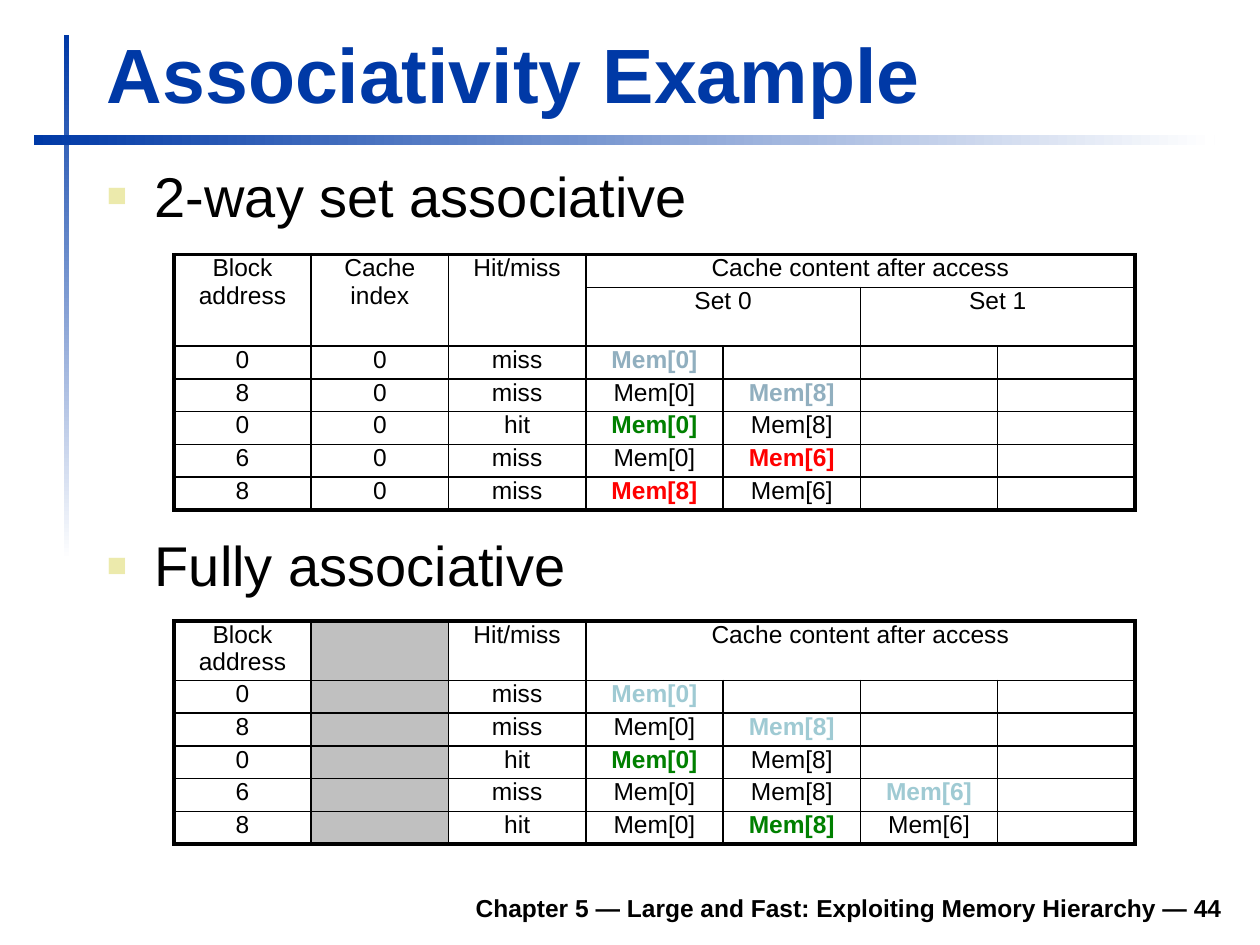
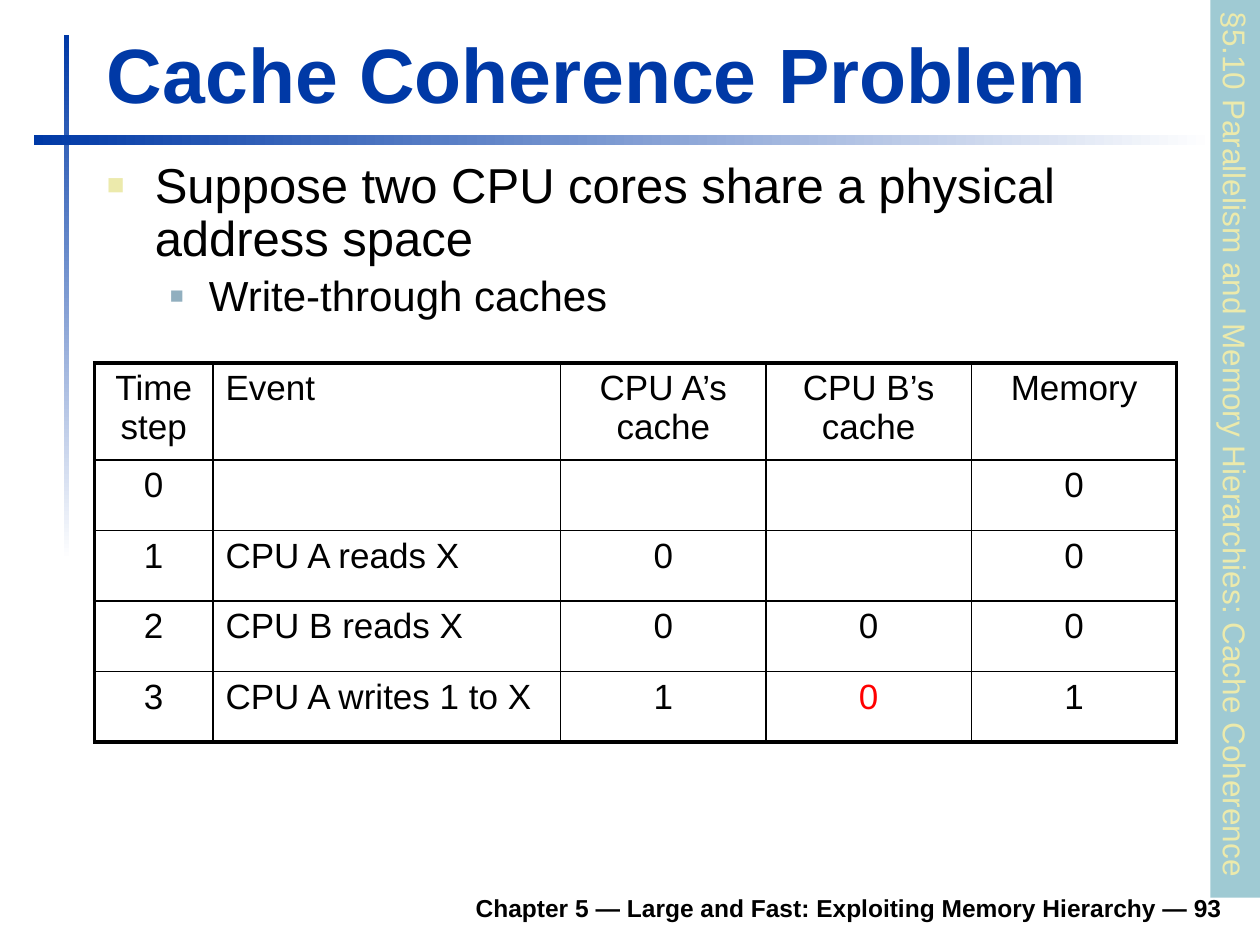
from lxml import etree
from pptx import Presentation, util as u
from pptx.dml.color import RGBColor
from pptx.enum import shapes, text
from pptx.oxml.ns import qn

COLS, ROWS = 1000, 750
FONT = "Arial"
BLACK, WHITE, BLUE = "000000", "FFFFFF", "0039A6"
CREAM, STEEL, TEAL = "ECEAAC", "91AFBF", "9FCAD3"
GREEN, RED, GRAY = "008000", "FF0000", "C0C0C0"
THIN, THICK = 1, 2.25
FOOT = "Chapter 5 — Large and Fast: Exploiting Memory Hierarchy — "
BULLETS = [(38, 38, CREAM, 60), (81, 31, STEEL, 55)]
BARS = [((51, 28, 4, 417), 270), ((27, 107, 937, 8), 0)]

CONTENT = "Cache content after access"
TWO_WAY = dict(
    box=(138, 202), size=14, pad=0, bold=True,
    cols=[109] * 7, rows=[26, 44] + [26] * 5,
    spans=[(0, 0, 2, 1), (0, 1, 2, 1), (0, 2, 2, 1),
           (0, 3, 1, 4), (1, 3, 1, 2), (1, 5, 1, 2)],
    cells=[
        ["Block address", "Cache index", "Hit/miss", CONTENT],
        ["", "", "", "Set 0", "", "Set 1"],
        ["0", "0", "miss", ("Mem[0]", STEEL)],
        ["8", "0", "miss", "Mem[0]", ("Mem[8]", STEEL)],
        ["0", "0", "hit", ("Mem[0]", GREEN), "Mem[8]"],
        ["6", "0", "miss", "Mem[0]", ("Mem[6]", RED)],
        ["8", "0", "miss", ("Mem[8]", RED), "Mem[6]"],
    ])
FULL = dict(
    box=(138, 493), size=14, pad=0, bold=True, gray=1,
    cols=[109] * 7, rows=[47] + [26] * 5,
    spans=[(0, 3, 1, 4)],
    cells=[
        ["Block address", "", "Hit/miss", CONTENT],
        ["0", "", "miss", ("Mem[0]", TEAL)],
        ["8", "", "miss", "Mem[0]", ("Mem[8]", TEAL)],
        ["0", "", "hit", ("Mem[0]", GREEN), "Mem[8]"],
        ["6", "", "miss", "Mem[0]", "Mem[8]", ("Mem[6]", TEAL)],
        ["8", "", "hit", "Mem[0]", ("Mem[8]", GREEN), "Mem[6]"],
    ])
EVENTS = dict(
    box=(75, 288), size=20, pad=5, left=1,
    cols=[94, 276] + [163] * 3, rows=[77] + [56] * 4,
    cells=[
        ["Time step", "Event", "CPU A’s cache", "CPU B’s cache", "Memory"],
        ["0", "", "", "", "0"],
        ["1", "CPU A reads X", "0", "", "0"],
        ["2", "CPU B reads X", "0", "0", "0"],
        ["3", "CPU A writes 1 to X", "1", ("0", RED), "1"],
    ])

SLIDES = [
    dict(title="Associativity Example", page=44, tables=[TWO_WAY, FULL],
         lists=[((75, 123, 905, 79), 1, [("2-way set associative", 32, 0)]),
                ((75, 422, 850, 63), 0.9, [("Fully associative", 32, 0)])]),
    dict(title="Cache Coherence Problem", page=93, tables=[EVENTS],
         lists=[((75, 123, 905, 149), 0.9,
                 [("Suppose two CPU cores share a physical address space", 28, 0),
                  ("Write-through caches", 24, 1)])],
         side="§5.10 Parallelism and Memory Hierarchies: Cache Coherence"),
]

deck = Presentation()
deck.slide_width, deck.slide_height = u.Inches(10), u.Inches(7.5)


def across(n):
    return round(deck.slide_width * n / COLS)


def down(n):
    return round(deck.slide_height * n / ROWS)


def place(x, y, w, h):
    return across(x), down(y), across(w), down(h)


def color(code):
    return RGBColor.from_string(code)


def sub(node, tag, **attrs):
    return etree.SubElement(node, qn("a:" + tag), {k: str(v) for k, v in attrs.items()})


def style(para, size, code=BLACK, bold=False):
    for run in para.runs:
        font = run.font
        font.name, font.size, font.bold = FONT, u.Pt(size), bold
        font.color.rgb = color(code)


def block(slide, box, anchor=text.MSO_ANCHOR.TOP):
    frame = slide.shapes.add_textbox(*place(*box)).text_frame
    frame.word_wrap = True
    frame.vertical_anchor = anchor
    return frame


def label(slide, box, words, size, code, align):
    frame = block(slide, box, text.MSO_ANCHOR.BOTTOM)
    frame.text = words
    frame.paragraphs[0].alignment = align
    style(frame.paragraphs[0], size, code, True)


def panel(slide, box):
    shape = slide.shapes.add_shape(shapes.MSO_SHAPE.RECTANGLE, *place(*box))
    shape.shadow.inherit = False
    shape.line.fill.background()
    return shape


def bar(slide, box, angle):
    fill = panel(slide, box).fill
    fill.gradient()
    fill.gradient_angle = angle
    for stop, code, at in zip(fill.gradient_stops, (BLUE, WHITE), (0, 1)):
        stop.color.rgb, stop.position = color(code), at


def bullets(slide, box, pitch, items):
    frame = block(slide, box)
    for i, (words, size, level) in enumerate(items):
        para = frame.add_paragraph() if i else frame.paragraphs[0]
        para.text, para.level, para.line_spacing = words, level, pitch
        para.space_before = u.Pt(size * 0.2 if i else 0)
        style(para, size)
        margin, hang, code, share = BULLETS[level]
        props = para._p.get_or_add_pPr()
        props.set("marL", str(across(margin)))
        props.set("indent", str(-across(hang)))
        sub(sub(props, "buClr"), "srgbClr", val=code)
        sub(props, "buSzPct", val=share * 1000)
        sub(props, "buFont", typeface=FONT)
        sub(props, "buChar", char="■")


def edges(cell, sides):
    props = cell._tc.get_or_add_tcPr()
    for side, outer in zip("LRTB", sides):
        line = sub(props, "ln" + side, w=u.Pt(THICK if outer else THIN))
        sub(sub(line, "solidFill"), "srgbClr", val=BLACK)


def grid(slide, box, size, pad, cols, rows, cells, spans=(), bold=False, gray=None, left=None):
    area = place(*box, sum(cols), sum(rows))
    table = slide.shapes.add_table(len(rows), len(cols), *area).table
    table.first_row = table.horz_banding = False
    for col, wide in zip(table.columns, cols):
        col.width = across(wide)
    for row, high in zip(table.rows, rows):
        row.height = down(high)
    for r, c, tall, wide in spans:
        table.cell(r, c).merge(table.cell(r + tall - 1, c + wide - 1))
    for r, line in enumerate(cells):
        for c in range(len(cols)):
            cell = table.cell(r, c)
            item = line[c] if c < len(line) else ""
            words, code = item if isinstance(item, tuple) else (item, BLACK)
            cell.margin_top = cell.margin_bottom = down(pad)
            cell.margin_left = cell.margin_right = across(10)
            para = cell.text_frame.paragraphs[0]
            if words:
                para.text = words
            para.alignment = text.PP_ALIGN.LEFT if c == left else text.PP_ALIGN.CENTER
            style(para, size, code, bold and code != BLACK)
            sub(para._p, "endParaRPr", sz=size * 100)
            tall = cell.span_height if cell.is_merge_origin else 1
            wide = cell.span_width if cell.is_merge_origin else 1
            edges(cell, (c == 0, c + wide == len(cols), r == 0, r + tall == len(rows)))
            if c == gray:
                cell.fill.solid()
                cell.fill.fore_color.rgb = color(GRAY)
            else:
                cell.fill.background()


def ribbon(slide, words):
    shape = panel(slide, (624, 336, 713, 40))
    shape.rotation = 90
    shape.fill.solid()
    shape.fill.fore_color.rgb = color(TEAL)
    frame = shape.text_frame
    frame.word_wrap = False
    frame.vertical_anchor = text.MSO_ANCHOR.TOP
    frame.text = words
    frame.paragraphs[0].alignment = text.PP_ALIGN.LEFT
    style(frame.paragraphs[0], 18, CREAM)


def build(page):
    slide = deck.slides.add_slide(deck.slide_layouts[6])
    for box, angle in BARS:
        bar(slide, box, angle)
    if "side" in page:
        ribbon(slide, page["side"])
    label(slide, (185, 698, 795, 39), FOOT + str(page["page"]), 14, BLACK, text.PP_ALIGN.RIGHT)
    label(slide, (75, 16, 903, 83), page["title"], 44, BLUE, text.PP_ALIGN.LEFT)
    for part in page["lists"]:
        bullets(slide, *part)
    for part in page["tables"]:
        grid(slide, **part)


def main():
    for page in SLIDES:
        build(page)
    deck.save("out.pptx")


if __name__ == "__main__":
    main()
